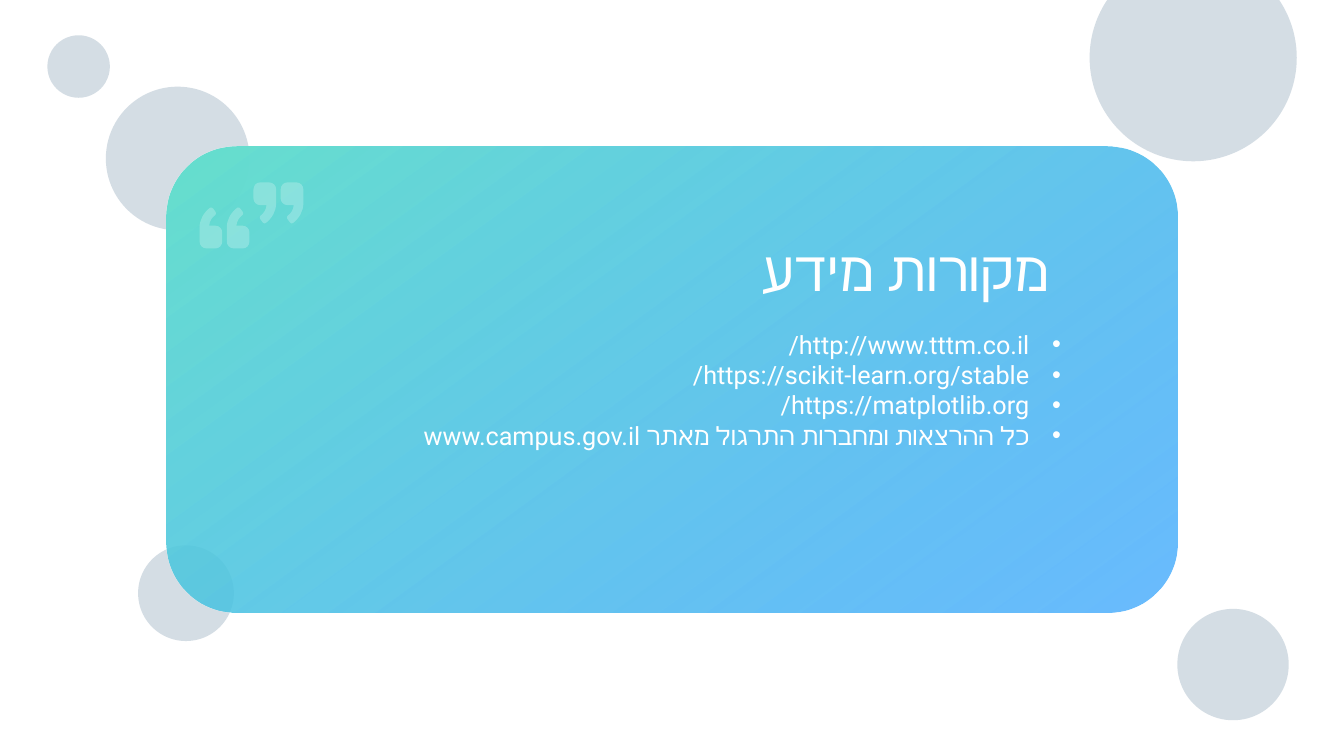
from dataclasses import dataclass

from lxml import etree
from pptx import Presentation
from pptx.dml.color import RGBColor
from pptx.enum.shapes import MSO_SHAPE
from pptx.enum.text import MSO_ANCHOR, PP_ALIGN
from pptx.oxml.ns import qn
from pptx.util import Pt

OVAL = MSO_SHAPE.OVAL
ROUNDED = MSO_SHAPE.ROUNDED_RECTANGLE
RIGHT = PP_ALIGN.RIGHT
TOP = MSO_ANCHOR.TOP
BLANK_LAYOUT = 6


@dataclass(frozen=True)
class Theme:
    font: str = "Roboto"
    white: str = "FFFFFF"
    bubble: str = "BDCBD6"
    card_start: str = "67E0CE"
    card_end: str = "219BFE"
    bubble_alpha: int = 64
    card_end_alpha: int = 67
    quote_alpha: int = 24
    title_size: int = 80
    body_size: int = 36
    bullet_indent: int = 45
    inset: float = 7.2


THEME = Theme()

# Left, top and diameter of each circle
BACK_BUBBLES = [(197.3, 779, 136.8), (151.2, 123.8, 205.2)]
FRONT_BUBBLES = [(67.7, 50.4, 89.3), (1556.6, -65.5, 295.9), (1681.9, 869.8, 159.1)]

CARD_BOX = (238.3, 209.9, 1443.6, 665.6)
TITLE = "מקורות מידע"
SOURCES = [
    "http://www.tttm.co.il/",
    "https://scikit-learn.org/stable/",
    "https://matplotlib.org/",
    "כל ההרצאות ומחברות התרגול מאתר www.campus.gov.il",
]

# One closing quote mark in a 45 by 81 grid: a point is a line, three are a curve
MARK_WIDTH, MARK_HEIGHT = 45, 81
MARK_SEGMENTS = [
    [(13, 0)],
    [(6, 0), (0, 6), (0, 14)],
    [(0, 32)],
    [(0, 39), (6, 45), (13, 45)],
    [(26, 45)],
    [(25, 54), (21, 61), (14, 66)],
    [(12, 67), (12, 70), (13, 72)],
    [(18, 79)],
    [(19, 81), (22, 82), (24, 81)],
    [(37, 71), (45, 57), (45, 41)],
    [(45, 14)],
    [(45, 6), (39, 0), (31, 0)],
]
MARK_PITCH = 54
CLOSING_OFFSET = 107
OPENING_DROP = 50
QUOTE_WIDTH = CLOSING_OFFSET + MARK_PITCH + MARK_WIDTH


def set_alpha(color_element, percent):
    etree.SubElement(color_element, qn("a:alpha")).set("val", str(percent * 1000))


def fill_solid(shape, color, alpha):
    shape.shadow.inherit = False
    shape.fill.solid()
    shape.fill.fore_color.rgb = RGBColor.from_string(color)
    shape.line.fill.background()
    set_alpha(shape._element.spPr.find(".//" + qn("a:srgbClr")), alpha)


def add_bubbles(slide, circles):
    for left, top, diameter in circles:
        bubble = slide.shapes.add_shape(OVAL, Pt(left), Pt(top), Pt(diameter), Pt(diameter))
        fill_solid(bubble, THEME.bubble, THEME.bubble_alpha)


def set_bullet(paragraph):
    """Make the paragraph a right-to-left bullet with a hanging indent."""
    properties = paragraph._p.get_or_add_pPr()
    indent = Pt(THEME.bullet_indent)
    properties.set("marL", str(indent))
    properties.set("indent", str(-indent))
    properties.set("rtl", "1")
    etree.SubElement(properties, qn("a:buFont")).set("typeface", "Arial")
    etree.SubElement(properties, qn("a:buChar")).set("char", "•")


def add_text(slide, box, lines, *, size, color=THEME.white, align=RIGHT, bullets=False):
    frame = slide.shapes.add_textbox(*map(Pt, box)).text_frame
    frame.word_wrap = True
    frame.vertical_anchor = TOP
    frame.margin_left = frame.margin_right = Pt(THEME.inset)
    frame.margin_top = frame.margin_bottom = Pt(THEME.inset)
    for index, line in enumerate(lines):
        paragraph = frame.add_paragraph() if index else frame.paragraphs[0]
        paragraph.alignment = align
        if bullets:
            set_bullet(paragraph)
        run = paragraph.add_run()
        run.text = line
        run.font.name = THEME.font
        run.font.size = Pt(size)
        run.font.color.rgb = RGBColor.from_string(color)
        complex_script = etree.SubElement(run._r.get_or_add_rPr(), qn("a:cs"))
        complex_script.set("typeface", THEME.font)


def curve_lines(shape, segments):
    """Turn each line of a freeform whose segment has three points into a curve."""
    path_element = shape._element.spPr.find(".//" + qn("a:path"))
    steps = [step for step in path_element if step.tag != qn("a:close")]
    for step, segment in zip(steps, segments):
        if len(segment) == 1:
            continue
        curve = etree.Element(qn("a:cubicBezTo"))
        for x, y in segment:
            point = etree.SubElement(curve, qn("a:pt"))
            point.set("x", str(x - shape.left))
            point.set("y", str(y - shape.top))
        path_element.replace(step, curve)


def add_quote_marks(slide, left, top, width):
    """Draw two opening marks, low, and two closing marks, high, as one shape."""
    scale = width / QUOTE_WIDTH
    opening = [[(MARK_WIDTH - x, MARK_HEIGHT - y) for x, y in segment]
               for segment in MARK_SEGMENTS]
    marks = []
    for outline, offset, drop in ((MARK_SEGMENTS, CLOSING_OFFSET, 0),
                                  (opening, 0, OPENING_DROP)):
        for shift in (offset, offset + MARK_PITCH):
            marks.append([
                [(Pt(left + (x + shift) * scale), Pt(top + (y + drop) * scale))
                 for x, y in segment]
                for segment in outline
            ])
    builder = slide.shapes.build_freeform(*marks[0][0][-1])
    for index, mark in enumerate(marks):
        ends = [segment[-1] for segment in mark]
        if index:
            builder.move_to(*ends[0])
        builder.add_line_segments(ends[1:])
    shape = builder.convert_to_shape()
    curve_lines(shape, [segment for mark in marks for segment in mark])
    fill_solid(shape, THEME.white, THEME.quote_alpha)


def add_card(slide, left, top, width, height):
    card = slide.shapes.add_shape(ROUNDED, Pt(left), Pt(top), Pt(width), Pt(height))
    card.adjustments[0] = 0.151
    card.shadow.inherit = False
    card.line.fill.background()
    card.fill.gradient()
    card.fill.gradient_angle = 306
    stops = card.fill.gradient_stops
    for stop, color, position in zip(stops, (THEME.card_start, THEME.card_end), (0, 1)):
        stop.color.rgb = RGBColor.from_string(color)
        stop.position = position
    colors = card._element.spPr.findall(".//" + qn("a:srgbClr"))
    set_alpha(colors[-1], THEME.card_end_alpha)

    add_text(slide, (left + 171.4, top + 119.1, 1096.6, 111.6), [TITLE],
             size=THEME.title_size)
    add_text(slide, (left + 173.5, top + 253.1, 1111, 276.5), SOURCES,
             size=THEME.body_size, bullets=True)
    add_quote_marks(slide, left + 46.8, top + 50.7, 148.3)


def main():
    presentation = Presentation()
    presentation.slide_width = Pt(1920)
    presentation.slide_height = Pt(1080)
    slide = presentation.slides.add_slide(presentation.slide_layouts[BLANK_LAYOUT])
    add_bubbles(slide, BACK_BUBBLES)
    add_card(slide, *CARD_BOX)
    add_bubbles(slide, FRONT_BUBBLES)
    presentation.save("out.pptx")


if __name__ == "__main__":
    main()
